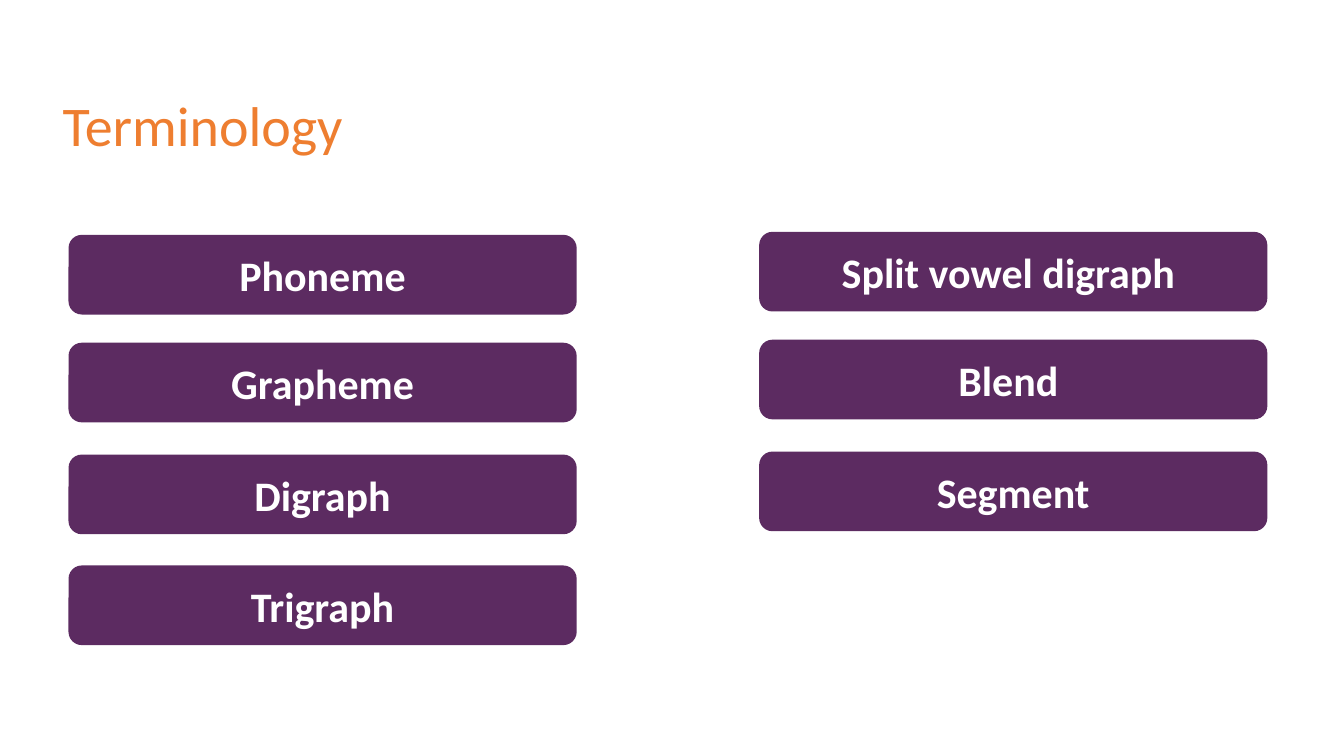
"""Build the Terminology slide: a title above two columns of term boxes."""
from pptx import Presentation
from pptx.dml.color import RGBColor as RGB
from pptx.enum.shapes import MSO_SHAPE as SHAPE
from pptx.enum.text import MSO_ANCHOR as ANCHOR, MSO_AUTO_SIZE as AUTO, PP_ALIGN as ALIGN
from pptx.util import Inches, Pt

TITLE = "Terminology"
COLUMNS = [
    {"left": 0.68, "top": 2.33, "terms": ["Phoneme", "Grapheme", "Digraph", "Trigraph"]},
    {"left": 7.53, "top": 2.30, "terms": ["Split vowel digraph ", "Blend ", "Segment"]},
]
ROW_OFFSETS = (0, 1.07, 2.18, 3.28)
TITLE_BOX = (0.52, 0.36, 10.71, 1.26)
TERM_SIZE = (5.04, 0.79)

THEME = {
    "box": RGB.from_string("5C2B61"),
    "title": {"name": "Calibri", "size": Pt(40), "bold": False,
              "color": RGB.from_string("EE7E30")},
    "term": {"name": "Calibri", "size": Pt(30), "bold": True,
             "color": RGB.from_string("FFFFFF")},
}


def write(tf, text, style, align, anchor):
    tf.word_wrap, tf.auto_size, tf.vertical_anchor = True, AUTO.NONE, anchor
    p = tf.paragraphs[0]
    p.alignment = align
    r = p.add_run()
    r.text = text
    for key, value in style.items():
        if key == "color":
            r.font.color.rgb = value
        else:
            setattr(r.font, key, value)
    return p


def add_title(s):
    sp = s.shapes.title
    for key, value in zip(("left", "top", "width", "height"), TITLE_BOX):
        setattr(sp, key, Inches(value))
    p = write(sp.text_frame, TITLE, THEME["title"], ALIGN.LEFT, ANCHOR.BOTTOM)
    p.line_spacing = 0.9


def add_term(s, text, left, top):
    box = map(Inches, (left, top, *TERM_SIZE))
    sp = s.shapes.add_shape(SHAPE.ROUNDED_RECTANGLE, *box)
    sp.shadow.inherit = False
    sp.fill.solid()
    sp.fill.fore_color.rgb = THEME["box"]
    sp.line.fill.background()
    write(sp.text_frame, text, THEME["term"], ALIGN.CENTER, ANCHOR.MIDDLE)


def main():
    prs = Presentation()
    prs.slide_width, prs.slide_height = Inches(13.33), Inches(7.5)
    s = prs.slides.add_slide(prs.slide_layouts.get_by_name("Title Only"))
    add_title(s)
    for column in COLUMNS:
        for term, offset in zip(column["terms"], ROW_OFFSETS):
            add_term(s, term, column["left"], column["top"] + offset)
    prs.save("out.pptx")


if __name__ == "__main__":
    main()
